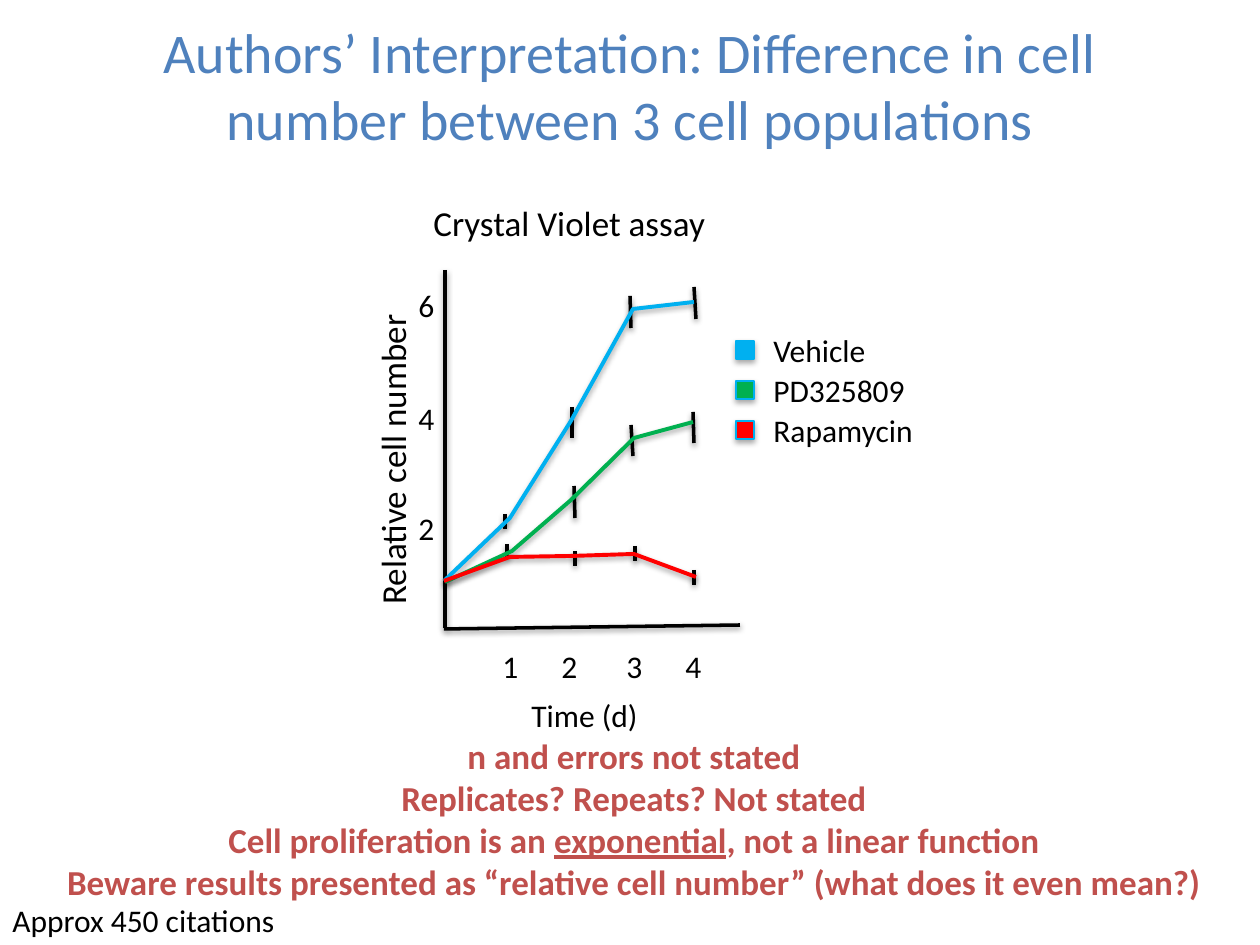
from lxml.etree import SubElement
from pptx import Presentation
from pptx.dml.color import RGBColor
from pptx.enum.shapes import MSO_CONNECTOR, MSO_SHAPE
from pptx.enum.text import MSO_ANCHOR, MSO_AUTO_SIZE, PP_ALIGN
from pptx.oxml.ns import qn
from pptx.util import Emu, Pt

SCALE = 914400 / 126  # EMU per px
COLOURS = {"title": "4F81BD", "remark": "C0504D", "ink": "000000",
           "vehicle": "00B0F0", "inhibitor": "00B050", "rapamycin": "FF0000"}


def px(length):
    return Emu(round(length * SCALE))


class SlideWriter:
    font = "Calibri"

    def __init__(self, page):
        self.page = page

    def colour(self, name):
        return RGBColor.from_string(COLOURS[name])

    def place(self, item, left, top, width, height):
        item.left, item.top = px(left), px(top)
        item.width, item.height = px(width), px(height)

    def add_span(self, para, text, size, colour, bold=None, underline=None):
        span = para.add_run()
        span.text = text
        span.font.name, span.font.size = self.font, Pt(size)
        span.font.color.rgb = self.colour(colour)
        span.font.bold, span.font.underline = bold, underline

    def add_shadow(self, item, opacity, distance):
        effects = SubElement(item._element.spPr, qn("a:effectLst"))
        shadow = SubElement(effects, qn("a:outerShdw"), blurRad="40000",
                            dist=str(distance), dir="5400000", rotWithShape="0")
        black = SubElement(shadow, qn("a:srgbClr"), val=COLOURS["ink"])
        SubElement(black, qn("a:alpha"), val=str(opacity * 1000))

    def title(self, text, *place):
        box = self.page.shapes.title
        self.place(box, *place)
        box.text_frame.vertical_anchor = MSO_ANCHOR.MIDDLE
        box.text_frame.auto_size = MSO_AUTO_SIZE.NONE
        para = box.text_frame.paragraphs[0]
        para.alignment = PP_ALIGN.CENTER
        self.add_span(para, text, 32, "title")

    def remarks(self, lines, *place):
        """Each line is a list of (text, underline) spans."""
        box = self.page.placeholders[1]
        self.place(box, *place)
        frame = box.text_frame
        frame.auto_size = MSO_AUTO_SIZE.NONE
        for index, spans in enumerate(lines):
            para = frame.add_paragraph() if index else frame.paragraphs[0]
            para.alignment = PP_ALIGN.CENTER
            para.space_before = Pt(0)
            properties = para._p.get_or_add_pPr()
            properties.set("marL", "0")
            properties.set("indent", "0")
            SubElement(properties, qn("a:buNone"))
            for text, underline in spans:
                self.add_span(para, text, 20, "remark", True, underline)

    def label(self, text, left, top, width, height=50, size=18, rotation=0, tabs=()):
        box = self.page.shapes.add_textbox(px(left), px(top), px(width), px(height))
        box.rotation = rotation
        box.text_frame.word_wrap = bool(tabs)
        box.text_frame.auto_size = MSO_AUTO_SIZE.SHAPE_TO_FIT_TEXT
        para = box.text_frame.paragraphs[0]
        if tabs:
            stops = SubElement(para._p.get_or_add_pPr(), qn("a:tabLst"))
            for stop in tabs:
                SubElement(stops, qn("a:tab"), pos=str(px(stop)), algn="l")
        self.add_span(para, text, size, "ink")

    def line(self, *ends):
        line = self.page.shapes.add_connector(MSO_CONNECTOR.STRAIGHT, *map(px, ends))
        line.line.color.rgb = self.colour("ink")
        line.line.width = Pt(2)
        self.add_shadow(line, 38, 20000)

    def curve(self, points, colour):
        builder = self.page.shapes.build_freeform(*points[0], scale=SCALE)
        builder.add_line_segments(points[1:], close=False)
        curve = builder.convert_to_shape()
        curve.fill.background()
        curve.line.color.rgb = self.colour(colour)
        curve.line.width = Pt(2.25)
        self.add_shadow(curve, 35, 23000)

    def swatch(self, left, top, colour):
        swatch = self.page.shapes.add_shape(MSO_SHAPE.RECTANGLE,
                                            px(left), px(top), px(18), px(18))
        swatch.fill.solid()
        swatch.fill.fore_color.rgb = self.colour(colour)
        swatch.line.color.rgb = self.colour("vehicle")
        swatch.line.width = Pt(0.75)
        self.add_shadow(swatch, 35, 23000)


# Each series: legend name, colour, curve points, error bars (x1, y1, x2, y2)
SERIES = [
    ("Vehicle", "vehicle",
     [(444, 581), (510, 518), (571, 421), (633, 309), (694, 302)],
     [(505, 514, 505, 529), (572, 407, 572, 438),
      (630, 296, 631, 328), (694, 287, 696, 319)]),
    ("PD325809", "inhibitor",
     [(445, 582), (512, 551), (571, 500), (634, 438), (693, 422)],
     [(507, 544, 507, 559), (574, 486, 575, 518),
      (631, 425, 633, 456), (693, 412, 694, 443)]),
    ("Rapamycin", "rapamycin",
     [(444, 581), (510, 557), (572, 556), (634, 554), (696, 577)],
     [(575, 551, 575, 566), (635, 546, 635, 561), (694, 570, 694, 585)]),
]


def main():
    deck = Presentation()
    deck.slide_width, deck.slide_height = px(1260), px(945)
    writer = SlideWriter(deck.slides.add_slide(deck.slide_layouts[1]))

    # Title and remarks
    writer.title("Authors’ Interpretation: Difference in cell number "
                 "between 3 cell populations", 63, 6, 1134, 158)
    writer.remarks([
        [("n and errors not stated", None)],
        [("Replicates? Repeats? Not stated", None)],
        [("Cell proliferation is an ", None), ("exponential", True),
         (", not a linear function", None)],
        [("Beware results presented as “relative cell number” "
          "(what does it even mean?)", None)],
    ], 34, 728, 1200, 185)
    writer.label("Approx 450 citations", 0, 895, 292)

    # Graph heading and axis labels
    writer.label("Crystal Violet assay", 421, 195, 301, 55, size=20)
    writer.label("Relative cell number", 233, 430, 319, 55, size=20, rotation=270)
    for text, top in (("6", 280), ("4", 393), ("2", 503)):
        writer.label(text, 406, top, 42)
    writer.label("1\t2\t3\t4", 490, 641, 234, tabs=(59, 124, 183))
    writer.label("Time (d)", 519, 690, 132)

    # Axes
    writer.line(445, 270, 445, 628)
    writer.line(444, 629, 740, 625)

    # Curves with error bars, and their legend rows
    for row, (name, colour, points, bars) in enumerate(SERIES):
        for bar in bars:
            writer.line(*bar)
        writer.curve(points, colour)
        writer.swatch(736, 341 + 40 * row, colour)
        writer.label(name, 761, 325 + 40 * row, 166)

    deck.save("out.pptx")


if __name__ == "__main__":
    main()
